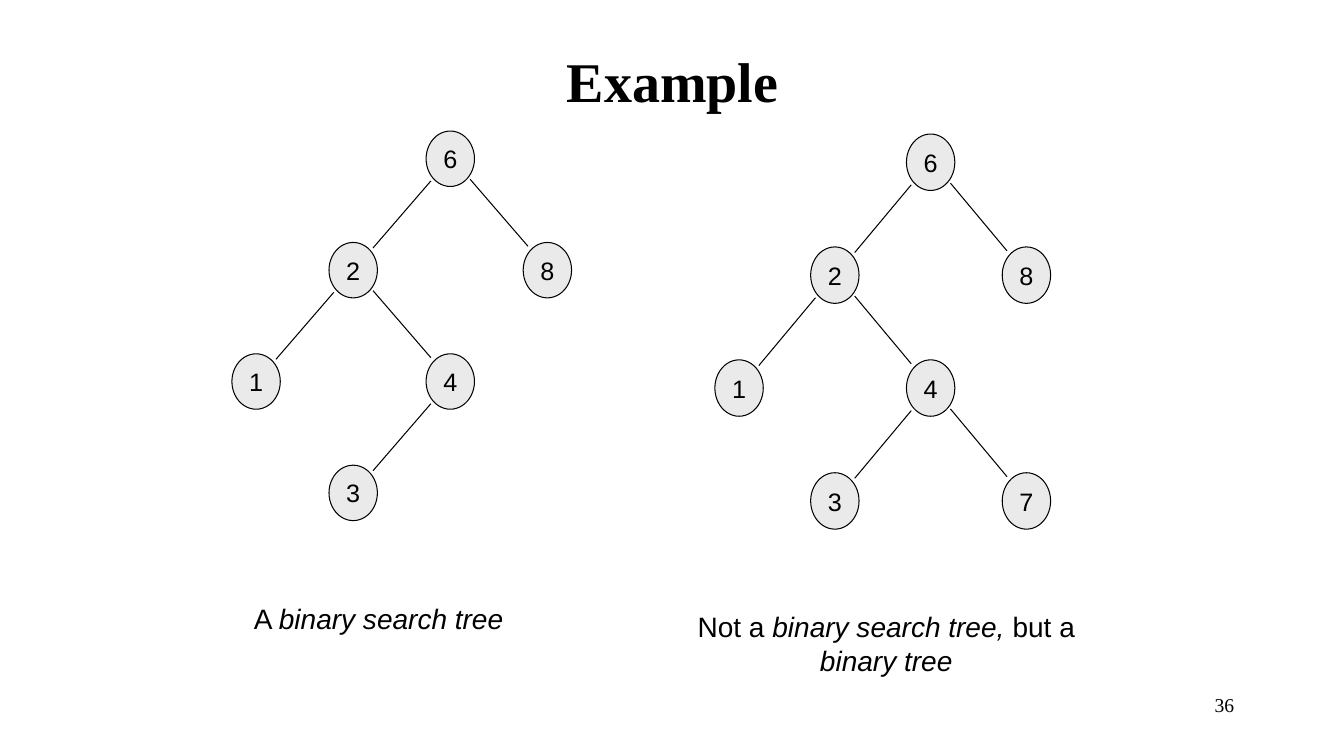
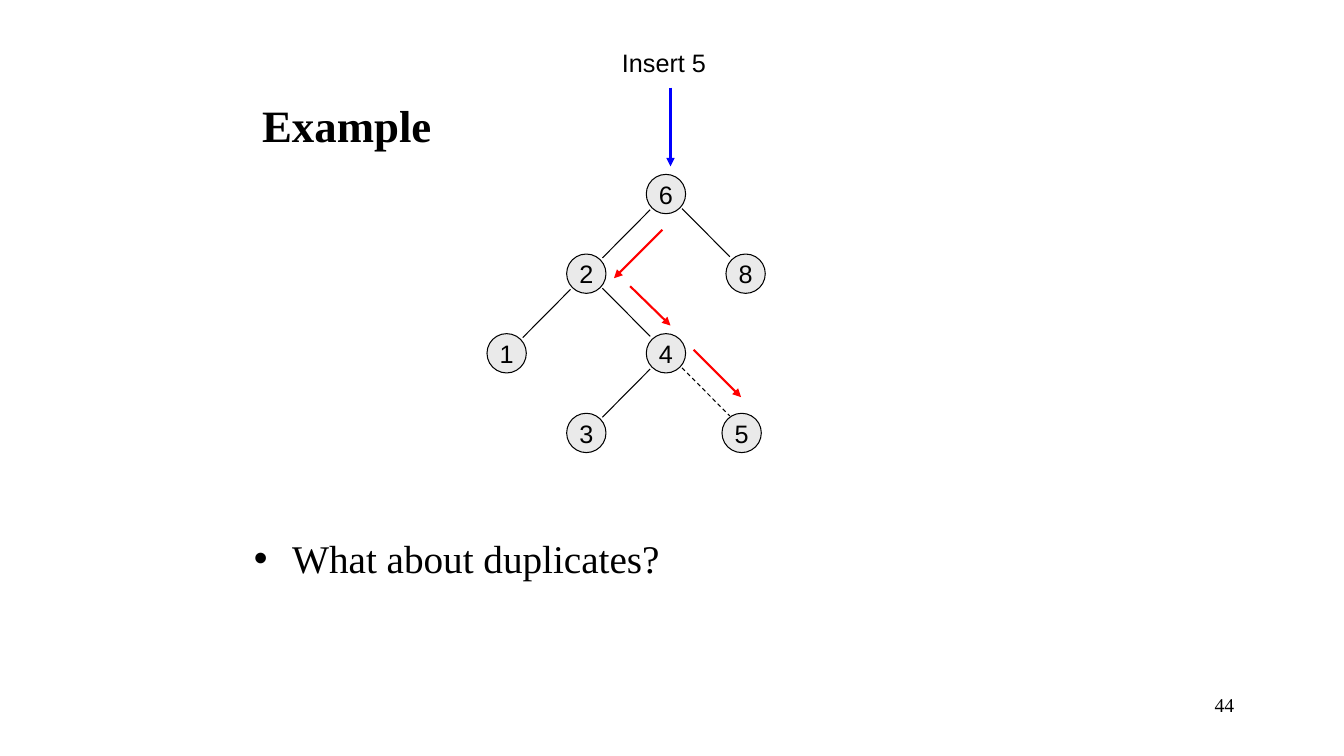
from lxml.etree import SubElement
from pptx import Presentation
from pptx.dml.color import RGBColor
from pptx.enum.dml import MSO_LINE as Dash
from pptx.enum.shapes import MSO_CONNECTOR as Link, MSO_SHAPE as Form
from pptx.enum.text import MSO_ANCHOR as Anchor, MSO_AUTO_SIZE as Fit, PP_ALIGN as Align
from pptx.oxml.ns import qn
from pptx.util import Emu, Pt

SCALE = 9144  # EMU in one px, 100 px to the inch
BLACK, GREY, BLUE, RED = "000000", "EAEAEA", "0000FF", "FF0000"
SERIF, SANS = "Times New Roman", "Arial"


def px(*sizes):
    return [Emu(round(size * SCALE)) for size in sizes]


def tint(code):
    return RGBColor.from_string(code)


class Deck:
    def __init__(self):
        self.file = Presentation()
        self.file.slide_width, self.file.slide_height = px(1333, 750)
        self.slide = None

    def page(self, number, title, box, size, align):
        """Start a slide with its title and page number."""
        self.slide = self.file.slides.add_slide(self.file.slide_layouts[5])
        head = self.slide.shapes.title
        head.left, head.top, head.width, head.height = px(*box)
        frame = head.text_frame
        frame.text = title
        frame.auto_size, frame.vertical_anchor = Fit.NONE, Anchor.MIDDLE
        self.style(frame, size, SERIF, align, bold=True)
        self.text((956, 683, 278, 50), [number], 14, SERIF, Align.RIGHT)

    def style(self, frame, size, face, align, bold=False):
        for para in frame.paragraphs:
            para.alignment = align
            for run in para.runs:
                font = run.font
                font.size, font.name, font.bold = Pt(size), face, bold
                font.color.rgb = tint(BLACK)

    def text(self, box, parts, size, face=SANS, align=Align.LEFT, wrap=True):
        """Add a text box; every second part is italic."""
        frame = self.slide.shapes.add_textbox(*px(*box)).text_frame
        frame.word_wrap = wrap
        para = frame.paragraphs[0]
        for spot, part in enumerate(parts):
            run = para.add_run()
            run.text = part
            run.font.italic = spot % 2 == 1
        self.style(frame, size, face, align)
        return para

    def bullet(self, box, words, size):
        para = self.text(box, [words], size, SERIF)
        props = para._p.get_or_add_pPr()
        indent, = px(38)
        props.set("marL", str(indent))
        props.set("indent", str(-indent))
        SubElement(props, qn("a:buFont"), typeface=SANS)
        SubElement(props, qn("a:buChar"), char="•")

    def line(self, start, end, color=BLACK, width=0.75, dash=False, arrow=False):
        link = self.slide.shapes.add_connector(Link.STRAIGHT, *px(*start, *end))
        link.line.color.rgb = tint(color)
        link.line.width = Pt(width)
        if dash:
            link.line.dash_style = Dash.DASH
        props = link._element.spPr
        if arrow:
            SubElement(props.find(qn("a:ln")), qn("a:tailEnd"), type="triangle")
        SubElement(props, qn("a:effectLst"))

    def arrow(self, start, end, color):
        self.line(start, end, color, 1.5, arrow=True)

    def node(self, box, key):
        oval = self.slide.shapes.add_shape(Form.OVAL, *px(*box))
        oval.shadow.inherit = False
        oval.fill.solid()
        oval.fill.fore_color.rgb = tint(GREY)
        oval.line.color.rgb = tint(BLACK)
        oval.line.width = Pt(0.75)
        frame = oval.text_frame
        frame.text = key
        frame.word_wrap, frame.vertical_anchor = False, Anchor.MIDDLE
        frame.margin_left = frame.margin_right = 0
        frame.margin_top = frame.margin_bottom = 0
        self.style(frame, 18, SANS, Align.CENTER)

    def tree(self, origin, size, step, nodes, fresh=None):
        """Draw nodes on a grid; the edge to the fresh key is dashed."""
        def spot(col, row, across=0, down=0):
            return (origin[0] + col * step[0] + across * size[0],
                    origin[1] + row * step[1] + down * size[1])

        for key, col, row, side in nodes:
            self.node((*spot(col, row), *size), key)
            if side:
                near, far = (0.1, 0.91) if side < 0 else (0.91, 0.1)
                lift = 0.9 if side < 0 else 0.87
                cell = round(col)
                self.line(spot(cell - side, row - 1, near, lift),
                          spot(cell, row, far, lift - 0.8), dash=key == fresh)


# Key, column, row, and side of the parent (-1 left, 1 right)
BASE = [("6", 2, 0, 0), ("2", 1, 1, -1), ("8", 3, 1, 1),
        ("1", 0, 2, -1), ("4", 2, 2, 1), ("3", 1, 3, -1)]


def main():
    deck = Deck()

    # Search tree beside a plain binary tree
    deck.page("36", "Example", (242, 50, 850, 58), 40, Align.CENTER)
    deck.tree((230, 130), (48, 55), (96.3, 110.5), BASE)
    deck.tree((709, 133), (48, 56), (95, 112), BASE + [("7", 3, 3, 1)])
    deck.text((242, 592, 269, 44), ["A ", "binary search tree"], 20, wrap=False)
    deck.text((650, 600, 458, 78),
              ["Not a ", "binary search tree, ", "but a ", "binary tree"],
              20, align=Align.CENTER)

    # Inserting a key
    deck.page("44", "Example", (250, 92, 275, 63), 32, Align.LEFT)
    deck.bullet((242, 525, 850, 142), "What about duplicates?", 28)
    deck.tree((483, 173), (39, 39), (79, 79), BASE + [("5", 2.95, 3, 1)], "5")
    deck.text((607, 42, 104, 41), ["Insert 5"], 18, wrap=False)
    deck.arrow((665, 87), (665, 165), BLUE)
    for start, end in [((657, 228), (609, 276)), ((625, 284), (665, 323)),
                       ((688, 347), (735, 394))]:
        deck.arrow(start, end, RED)

    deck.file.save("out.pptx")


if __name__ == "__main__":
    main()
